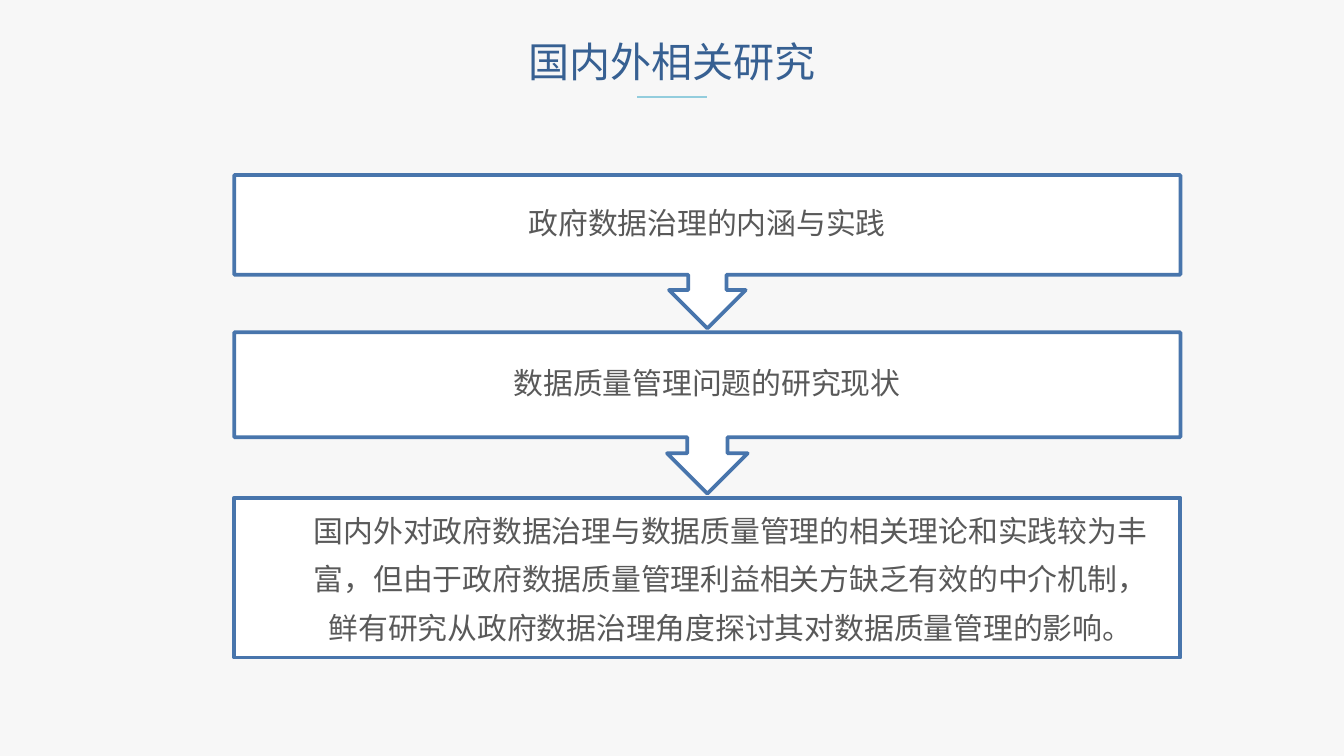
import dataclasses

import pptx
import pptx.dml.color
import pptx.enum.shapes
import pptx.enum.text
import pptx.oxml
import pptx.oxml.ns
import pptx.shapes.autoshape
import pptx.slide
import pptx.util

FONT = "Noto Sans CJK SC"
CELL = 0.1  # inches; the slide is a grid of 100 columns by 56.25 rows
COLUMNS, ROWS = 100, 56.25
LEFT, WIDTH = 17.43, 70.4
BOX_SHARE = 0.65  # part of a callout's height that is its box
BLUE, WHITE, GREY = "4875AC", "FFFFFF", "595959"
SHAPES = pptx.enum.shapes.MSO_SHAPE


@dataclasses.dataclass
class Step:
    text: str
    top: float
    height: float
    is_callout: bool = True


STEPS = [
    Step("国内外对政府数据治理与数据质量管理的相关理论和实践较为丰富，"
         "但由于政府数据质量管理利益相关方缺乏有效的中介机制，"
         "鲜有研究从政府数据治理角度探讨其对数据质量管理的影响。", 37.03, 11.9, False),
    Step("数据质量管理问题的研究现状", 24.73, 12),
    Step("政府数据治理的内涵与实践", 13.03, 11.4),
]


def grid(cells: float) -> pptx.util.Emu:
    return pptx.util.Inches(cells * CELL)


def color(value: str) -> pptx.dml.color.RGBColor:
    return pptx.dml.color.RGBColor.from_string(value)


def write(box: pptx.shapes.autoshape.Shape, text: str, *, size: float, ink: str,
          anchor: pptx.enum.text.MSO_ANCHOR, inset_x: float, inset_y: float,
          wrap: bool = True, spacing: float | pptx.util.Pt = 1.0) -> None:
    frame = box.text_frame
    frame.word_wrap = wrap
    frame.vertical_anchor = anchor
    frame.margin_left = frame.margin_right = grid(inset_x)
    frame.margin_top = frame.margin_bottom = grid(inset_y)
    para = frame.paragraphs[0]
    para.alignment = pptx.enum.text.PP_ALIGN.CENTER
    para.line_spacing = spacing
    span = para.add_run()
    span.text = text
    span.font.size = pptx.util.Pt(size)
    span.font.name = FONT
    span.font.color.rgb = color(ink)
    east_asian = pptx.oxml.parse_xml(
        f'<a:ea {pptx.oxml.ns.nsdecls("a")} typeface="{FONT}"/>')
    span.font._element.find(pptx.oxml.ns.qn("a:latin")).addnext(east_asian)


def draw_title(page: pptx.slide.Slide, text: str) -> None:
    title = page.shapes.title
    title.left, title.top = grid(38.2), grid(2.2)
    title.width, title.height = grid(23.6), grid(4.7)
    write(title, text, size=22, ink="376092", inset_x=1, inset_y=0.5, wrap=False,
          anchor=pptx.enum.text.MSO_ANCHOR.TOP)
    title.text_frame.auto_size = pptx.enum.text.MSO_AUTO_SIZE.SHAPE_TO_FIT_TEXT

    rule = page.shapes.add_connector(
        pptx.enum.shapes.MSO_CONNECTOR.STRAIGHT,
        grid(52.6), grid(7.22), grid(47.4), grid(7.22))
    rule.line.color.rgb = color("93CDDD")
    rule.line.width = pptx.util.Pt(1.5)
    rule._element.spPr.append(
        pptx.oxml.parse_xml(f'<a:effectLst {pptx.oxml.ns.nsdecls("a")}/>'))


def draw_step(page: pptx.slide.Slide, step: Step) -> None:
    kind = SHAPES.UP_ARROW_CALLOUT if step.is_callout else SHAPES.RECTANGLE
    outline = page.shapes.add_shape(
        kind, grid(LEFT), grid(step.top), grid(WIDTH), grid(step.height))
    outline.rotation = 180 if step.is_callout else 0
    outline.shadow.inherit = False
    outline.fill.solid()
    outline.fill.fore_color.rgb = color(WHITE)
    outline.line.color.rgb = color(BLUE)
    outline.line.width = pptx.util.Pt(2)

    if step.is_callout:
        indent, drop, height = 0, 0, step.height * BOX_SHARE
    else:
        indent, drop, height = 3.5, 1.6, 7.9
    box = page.shapes.add_textbox(grid(LEFT + indent), grid(step.top + drop),
                                  grid(WIDTH - indent), grid(height))
    write(box, step.text, size=16, ink=GREY, inset_x=1.6, inset_y=1.6,
          anchor=pptx.enum.text.MSO_ANCHOR.MIDDLE,
          spacing=0.9 if step.is_callout else pptx.util.Pt(26))


def main() -> None:
    deck = pptx.Presentation()
    deck.slide_width, deck.slide_height = grid(COLUMNS), grid(ROWS)
    page = deck.slides.add_slide(deck.slide_layouts.get_by_name("Title Only"))
    page.background.fill.solid()
    page.background.fill.fore_color.rgb = color("F7F7F7")
    draw_title(page, "国内外相关研究")
    for step in STEPS:
        draw_step(page, step)
    deck.save("out.pptx")


if __name__ == "__main__":
    main()
